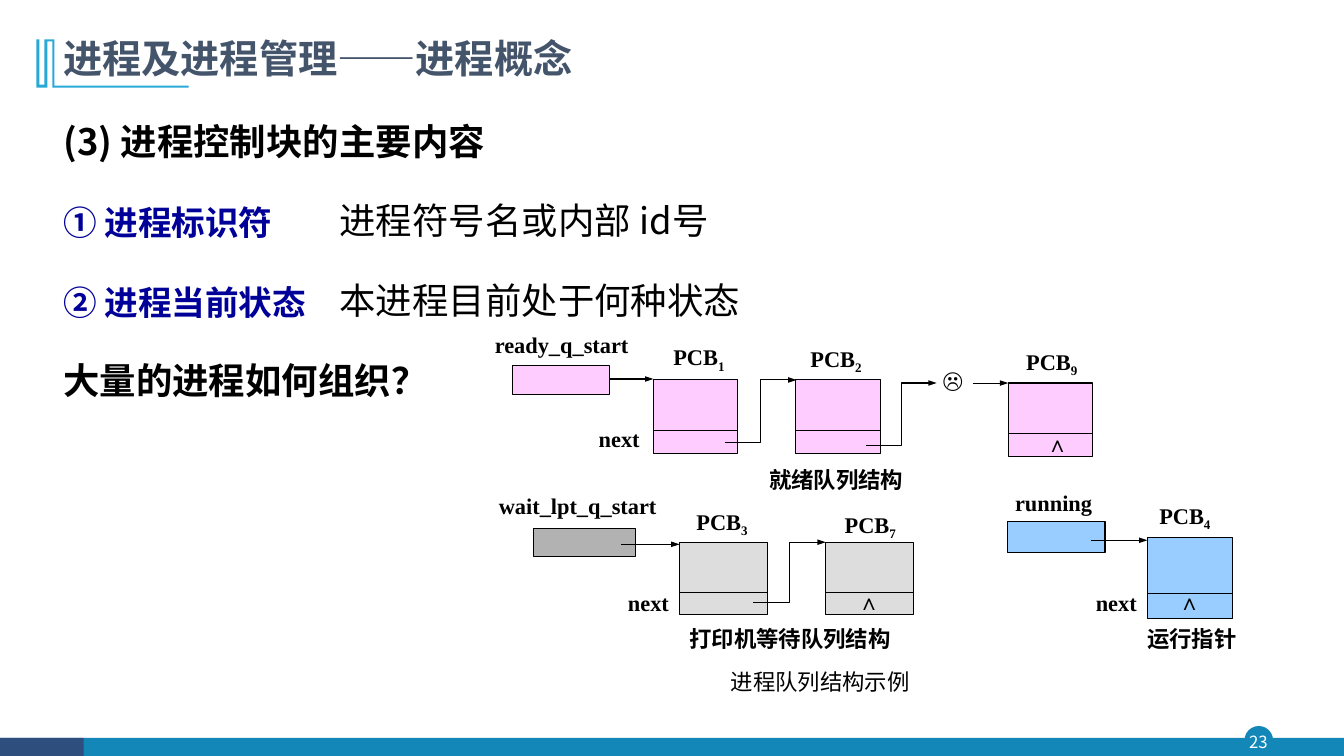
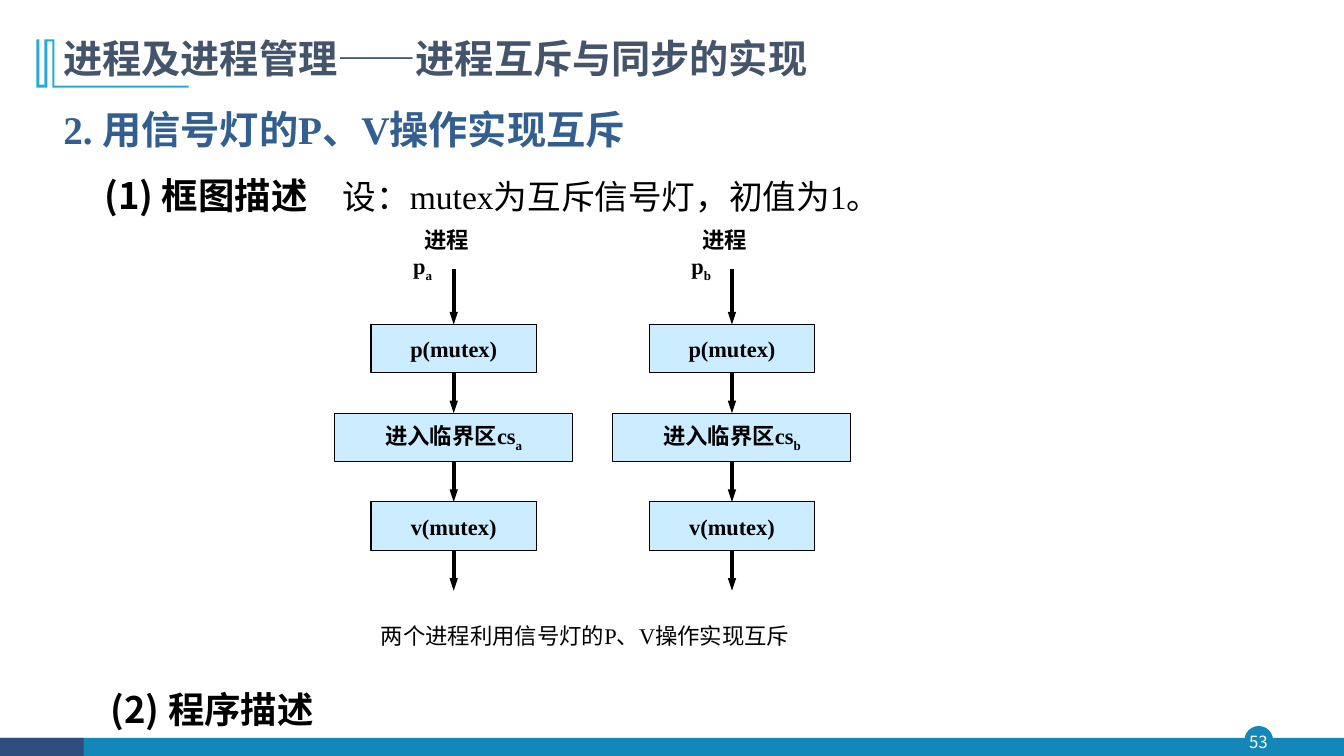
from lxml import etree
from pptx import Presentation
from pptx.dml.color import RGBColor
from pptx.enum.shapes import MSO_CONNECTOR, MSO_SHAPE
from pptx.enum.text import MSO_ANCHOR, PP_ALIGN
from pptx.oxml.ns import qn
from pptx.util import Inches, Pt

RECTANGLE, ELLIPSE = MSO_SHAPE.RECTANGLE, MSO_SHAPE.OVAL
STRAIGHT, ELBOW = MSO_CONNECTOR.STRAIGHT, MSO_CONNECTOR.ELBOW
TOP, MIDDLE = MSO_ANCHOR.TOP, MSO_ANCHOR.MIDDLE
LEFT, CENTER, JUSTIFY = PP_ALIGN.LEFT, PP_ALIGN.CENTER, PP_ALIGN.JUSTIFY
SANS, SERIF = "Noto Sans CJK SC", "Times New Roman"

BLACK, WHITE = "000000", "FFFFFF"
TEAL, NAVY, CYAN = "1387B7", "2E4E7E", "28A9D6"
TITLE_COLOR, HEADING_COLOR, TERM_COLOR = "44546A", "335F90", "000099"
PINK, GRAY, DARK_GRAY = "FFCCFF", "DDDDDD", "B2B2B2"
BLUE, PALE_BLUE = "99CCFF", "CCECFF"

TITLE_MARK = [(0.54, 0.39), (0.54, 0.85), (1.87, 0.85), (1.87, 0.87), (0.52, 0.87),
              (0.52, 0.41), (0.47, 0.41), (0.47, 0.87), (0.36, 0.87), (0.36, 0.39),
              (0.39, 0.39), (0.39, 0.84), (0.44, 0.84), (0.44, 0.39)]


def color(value):
    return RGBColor.from_string(value)


# Text
def run(text, size=16, font=SERIF, fill=BLACK, bold=True, subscript=False):
    return text, size, font, fill, bold, subscript


def add_run(paragraph, text, size, font, fill, bold, subscript):
    new_run = paragraph.add_run()
    new_run.text = text
    new_run.font.size = Pt(size)
    new_run.font.name = font
    new_run.font.bold = bold
    new_run.font.color.rgb = color(fill)
    properties = new_run.font._element
    etree.SubElement(properties, qn("a:ea")).set("typeface", SANS)
    if subscript:
        properties.set("baseline", "-25000")


def fill_paragraph(paragraph, runs, align=LEFT, spacing=1.0, before=0, indent=0):
    paragraph.alignment = align
    paragraph.line_spacing = spacing
    paragraph.space_before = Pt(before)
    properties = paragraph._p.get_or_add_pPr()
    properties.set("marL", "0")
    properties.set("indent", str(Inches(indent)))
    for parts in runs:
        add_run(paragraph, *parts)


def add_text(slide, box, paragraphs, anchor=TOP, wrap=True, inset=True):
    """Each paragraph is a list of runs and a dict of paragraph settings."""
    shape = slide.shapes.add_textbox(*map(Inches, box))
    frame = shape.text_frame
    frame.word_wrap = wrap
    frame.vertical_anchor = anchor
    if not inset:
        frame.margin_left = frame.margin_right = frame.margin_top = frame.margin_bottom = 0
    for index, (runs, settings) in enumerate(paragraphs):
        paragraph = frame.add_paragraph() if index else frame.paragraphs[0]
        fill_paragraph(paragraph, runs, **settings)


def add_label(slide, left, top, text, subscript="", bold=True):
    runs = [run(text, bold=bold)]
    if subscript:
        runs.append(run(subscript, subscript=True))
    add_text(slide, (left, top, 2.5 if len(text) > 3 else 0.9, 0.37), [(runs, {})])


# Shapes and lines
def paint(shape, fill, line=None, width=0.75):
    shape.shadow.inherit = False
    shape.fill.solid()
    shape.fill.fore_color.rgb = color(fill)
    if line:
        shape.line.color.rgb = color(line)
        shape.line.width = Pt(width)
    else:
        shape.line.fill.background()


def add_box(slide, box, fill, line=BLACK, width=0.75, kind=RECTANGLE):
    shape = slide.shapes.add_shape(kind, *map(Inches, box))
    paint(shape, fill, line, width)
    return shape


def add_line(slide, start, end, width=0.75, arrow=True, kind=STRAIGHT):
    connector = slide.shapes.add_connector(kind, *map(Inches, start + end))
    connector.line.color.rgb = color(BLACK)
    connector.line.width = Pt(width)
    if arrow:
        etree.SubElement(connector.line._get_or_add_ln(), qn("a:tailEnd"),
                         type="triangle", w="sm", len="med")
    etree.SubElement(connector._element.spPr, qn("a:effectLst"))
    return connector


# Frame shared by all slides
def add_slide(presentation, title, number):
    slide = presentation.slides.add_slide(presentation.slide_layouts[6])
    add_box(slide, (12.35, 7.21, 0.27, 0.27), TEAL, TEAL, 1, ELLIPSE)
    add_box(slide, (0, 7.32, 13.33, 0.18), TEAL, None)
    add_box(slide, (0, 7.32, 0.83, 0.18), NAVY, None)
    add_text(slide, (12.32, 7.2, 0.32, 0.31),
             [([run(number, 12, SANS, WHITE, False)], {"align": CENTER})], MIDDLE, inset=False)
    points = [(Inches(x), Inches(y)) for x, y in TITLE_MARK]
    builder = slide.shapes.build_freeform(*points[0], scale=1.0)
    builder.add_line_segments(points[1:], close=True)
    paint(builder.convert_to_shape(), CYAN)
    add_text(slide, (0.53, 0.32, 10.49, 0.56),
             [([run(title, 28, SANS, TITLE_COLOR)], {"spacing": 0.9})], MIDDLE)
    return slide


# Process control block with its divider and name
def add_pcb(slide, box, fill, number, label_left, label_top):
    left, top, width, height = box
    add_box(slide, box, fill)
    divider = top + 0.69 * height
    add_line(slide, (left, divider), (left + width, divider), arrow=False)
    add_label(slide, label_left, label_top, "PCB", number)


def add_queue_slide(presentation):
    slide = add_slide(presentation, "进程及进程管理——进程概念", "23")

    # Main contents of the control block, definitions in a second column
    def line(text, before, size=26, font=SANS, fill=BLACK, bold=True):
        return [run(text, size, font, fill, bold)], {"spacing": 1.5, "before": before}

    add_text(slide, (0.53, 0.92, 5, 3.2), [
        line("(3) 进程控制块的主要内容", 0),
        line("① 进程标识符", 13.5, 24, SERIF, TERM_COLOR),
        line("② 进程当前状态", 13.5, 24, SERIF, TERM_COLOR),
        line("大量的进程如何组织？", 10.5)])
    add_text(slide, (3.27, 1.7, 9, 1.6), [
        line("进程符号名或内部 id号", 0, bold=False),
        line("本进程目前处于何种状态", 10.5, bold=False)])

    # Blocks: box, fill, number, place of the name
    for block in [((6.48, 3.77, 0.84, 0.73), PINK, "1", 6.58, 3.36),
                  ((7.89, 3.77, 0.84, 0.73), PINK, "2", 7.94, 3.37),
                  ((10, 3.8, 0.84, 0.73), PINK, "9", 10.08, 3.4),
                  ((6.74, 5.38, 0.87, 0.72), GRAY, "3", 6.81, 4.99),
                  ((8.19, 5.38, 0.87, 0.72), GRAY, "7", 8.28, 5.02),
                  ((11.38, 5.33, 0.84, 0.81), BLUE, "4", 11.4, 4.93)]:
        add_pcb(slide, *block)

    # Queue heads
    for box, fill in [((5.08, 3.63, 0.97, 0.28), PINK),
                      ((5.29, 5.24, 1.01, 0.28), DARK_GRAY),
                      ((9.99, 5.17, 0.97, 0.31), BLUE)]:
        add_box(slide, box, fill)

    # Pointers
    for start, end in [((6.05, 3.76), (6.48, 3.76)), ((9.65, 3.8), (10, 3.8)),
                       ((6.16, 5.4), (6.74, 5.4)), ((10.82, 5.36), (11.38, 5.36))]:
        add_line(slide, start, end)
    for start, end in [((7.19, 4.39), (7.9, 3.77)), ((8.59, 4.42), (9.29, 3.8)),
                       ((7.47, 5.98), (8.19, 5.38))]:
        add_line(slide, start, end, kind=ELBOW)

    # Labels
    for left, top, text in [(4.81, 3.24, "ready_q_start"), (4.85, 4.83, "wait_lpt_q_start"),
                            (9.97, 4.8, "running"), (5.84, 4.17, "next"),
                            (6.13, 5.8, "next"), (10.77, 5.8, "next"),
                            (10.28, 4.22, "∧"), (8.41, 5.79, "∧"), (11.59, 5.79, "∧"),
                            (7.53, 4.58, "就绪队列结构"), (6.74, 6.15, "打印机等待队列结构"),
                            (11.28, 6.15, "运行指针")]:
        add_label(slide, left, top, text)
    add_label(slide, 9.25, 3.58, "☹", bold=False)
    add_label(slide, 7.15, 6.58, "进程队列结构示例", bold=False)


# One process: three steps joined by arrows
def add_process(slide, center, name):
    add_text(slide, (center - 0.5, 2.19, 0.97, 0.64),
             [([run("进程 p"), run(name, subscript=True)], {"indent": 0.11})])
    steps = [(3.22, 1.64, [run("p(mutex)")]),
             (4.1, 2.36, [run("进入临界区cs"), run(name, subscript=True)]),
             (4.98, 1.64, [run("v(mutex)")])]
    previous, start = None, 2.67
    for top, width, runs in steps:
        box = add_box(slide, (center - width / 2, top, width, 0.48), PALE_BLUE)
        box.text_frame.vertical_anchor = MIDDLE
        fill_paragraph(box.text_frame.paragraphs[0], runs, CENTER)
        arrow = add_line(slide, (center, start), (center, top), 3)
        if previous:
            arrow.begin_connect(previous, 2)
        arrow.end_connect(box, 0)
        previous, start = box, top + 0.48
    add_line(slide, (center, start), (center, 5.86), 3).begin_connect(previous, 2)


def add_mutex_slide(presentation):
    slide = add_slide(presentation, "进程及进程管理——进程互斥与同步的实现", "53")

    # Headings
    add_text(slide, (0.53, 0.9, 9.1, 1.24), [
        ([run("2. 用信号灯的P、V操作实现互斥", 28, fill=HEADING_COLOR)], {"spacing": 1.2}),
        ([run("(1) 框图描述", 26, SANS)], {"spacing": 1.2, "before": 9, "indent": 0.41})])
    add_text(slide, (3.3, 1.62, 6.3, 0.55),
             [([run("设：mutex为互斥信号灯，初值为1。", 24, bold=False)], {"spacing": 1.2})])
    add_text(slide, (1, 6.55, 6.18, 0.68), [([run("(2) 程序描述", 26, SANS)], {"spacing": 1.5})])

    # Flow of both processes
    for index, name in enumerate("ab"):
        add_process(slide, 4.5 + 2.76 * index, name)
    add_text(slide, (3.68, 6.07, 4.4, 0.42),
             [([run("两个进程利用信号灯的P、V操作实现互斥", bold=False)],
               {"align": JUSTIFY, "spacing": 1.2})])


def main():
    presentation = Presentation()
    presentation.slide_width = Inches(13.33)
    presentation.slide_height = Inches(7.5)
    add_queue_slide(presentation)
    add_mutex_slide(presentation)
    presentation.save("out.pptx")


if __name__ == "__main__":
    main()
